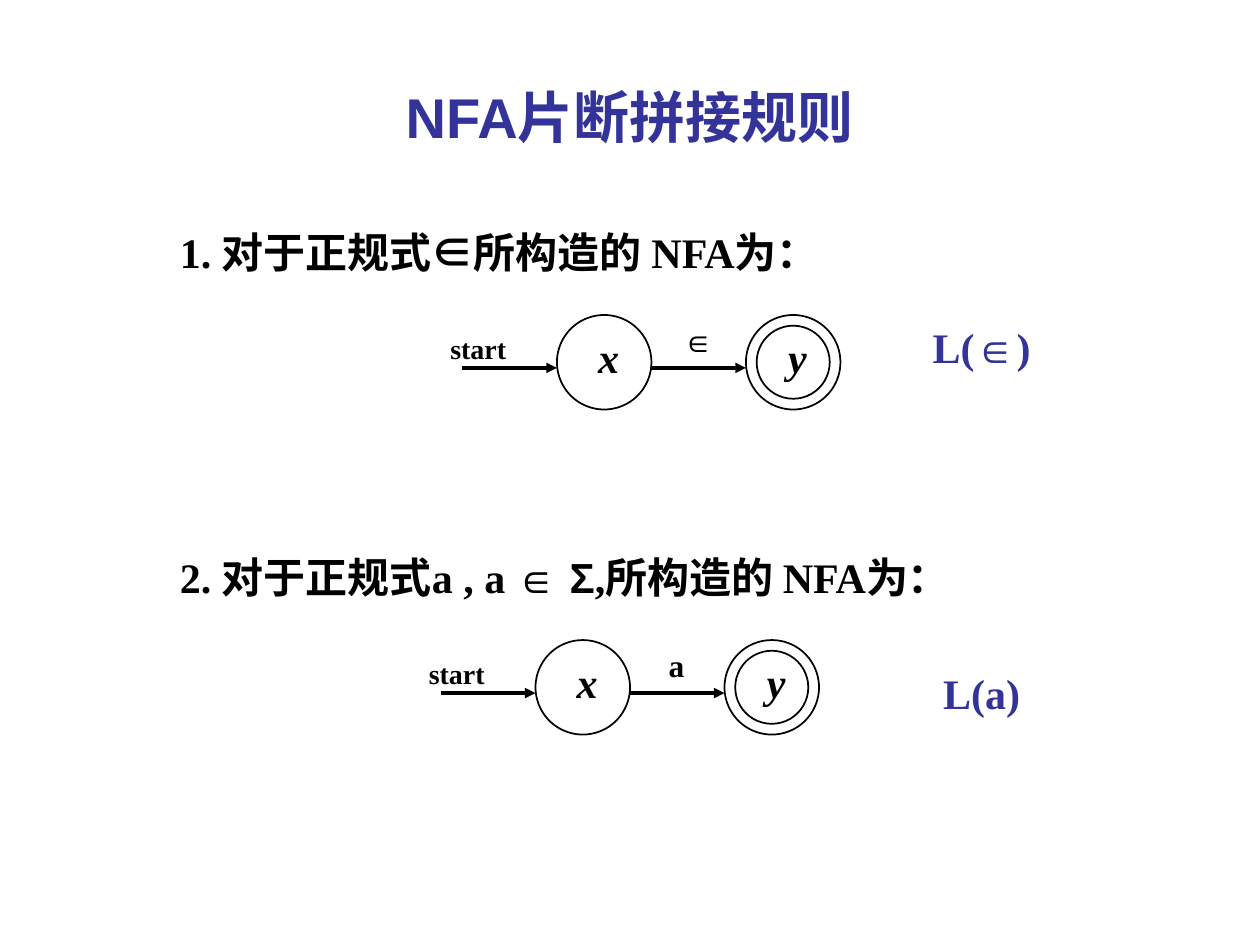
from lxml import etree
from pptx import Presentation
from pptx.dml.color import RGBColor
from pptx.enum.shapes import MSO_CONNECTOR, MSO_SHAPE
from pptx.enum.text import MSO_ANCHOR, MSO_AUTO_SIZE, PP_ALIGN
from pptx.oxml.ns import qn
from pptx.util import Inches, Pt

LEFT, CENTER = PP_ALIGN.LEFT, PP_ALIGN.CENTER
MIDDLE = MSO_ANCHOR.MIDDLE
FIT_SHAPE = MSO_AUTO_SIZE.SHAPE_TO_FIT_TEXT
OVAL, STRAIGHT = MSO_SHAPE.OVAL, MSO_CONNECTOR.STRAIGHT
COLORS = {"ink": "000000", "accent": "333399"}
SERIF, SANS = "Times New Roman", "Arial"


def write(shape, *runs, size=24, color="ink", align=CENTER, italic=False):
    """Fill a shape with one bold paragraph made of (text, font name) runs."""
    shape.text_frame.word_wrap = True
    paragraph = shape.text_frame.paragraphs[0]
    paragraph.alignment = align
    paragraph.space_before = Pt(0)
    for text, font_name in runs:
        run = paragraph.add_run()
        run.text = text
        run.font.name = font_name
        run.font.size = Pt(size)
        run.font.bold = True
        run.font.italic = italic
        run.font.color.rgb = RGBColor.from_string(COLORS[color])


def add_text(shapes, left, top, width, height, *runs, **text_format):
    box = shapes.add_textbox(Inches(left), Inches(top), Inches(width), Inches(height))
    write(box, *runs, **text_format)
    box.text_frame.auto_size = FIT_SHAPE


presentation = Presentation()
presentation.slide_width = Inches(10)
presentation.slide_height = Inches(7.5)
slide = presentation.slides.add_slide(presentation.slide_layouts[5])

title = slide.shapes.title
title.left, title.top = Inches(0.5), Inches(0.3)
title.width, title.height = Inches(9), Inches(1.25)
title.text_frame.vertical_anchor = MIDDLE
write(title, ("NFA片断拼接规则", SANS), size=32, color="accent")

# heading runs, heading top, left of the start state, top of the states,
# symbol on the edge, language runs, language top
rules = [
    ([("1. 对于正规式", SERIF), ("∈", SANS), ("所构造的 NFA为：", SERIF)],
     1.75, 4.42, 2.5, ("∈", SANS),
     [("L(", SERIF), ("∈", SANS), (")", SERIF)], 2.5),
    ([("2. 对于正规式a , a ", SERIF), ("∈ Σ", SANS), (",所构造的 NFA为：", SERIF)],
     4.33, 4.25, 5.08, ("a", SERIF),
     [("L(a)", SERIF)], 5.25),
]
STATE, INNER, STEP = 0.75, 0.58, 1.5
RING = (STATE - INNER) / 2

for heading, heading_top, left, top, symbol, language, language_top in rules:
    add_text(slide.shapes, 1.33, heading_top, 8.33, 0.5, *heading, align=LEFT)
    automaton = slide.shapes.add_group_shape().shapes
    add_text(automaton, 7, language_top, 1.58, 0.5, *language, color="accent")

    circles = [(0, 0, STATE), (STEP, 0, STATE), (STEP + RING, RING, INNER)]
    for across, down, diameter in circles:
        circle = automaton.add_shape(OVAL, Inches(left + across), Inches(top + down),
                                     Inches(diameter), Inches(diameter))
        circle.shadow.inherit = False
        circle.fill.background()
        circle.line.color.rgb = RGBColor.from_string(COLORS["ink"])
        circle.line.width = Pt(1)

    arrow_y = Inches(top + 0.42)
    for tip in (left + STEP, left):
        arrow = automaton.add_connector(STRAIGHT, Inches(tip - STATE), arrow_y,
                                        Inches(tip), arrow_y)
        arrow.line.color.rgb = RGBColor.from_string(COLORS["ink"])
        arrow.line.width = Pt(2)
        etree.SubElement(arrow.line._get_or_add_ln(), qn("a:tailEnd"), type="triangle")
        etree.SubElement(arrow._element.spPr, qn("a:effectLst"))

    add_text(automaton, left + 0.83, top, 0.58, 0.4, symbol, size=18)
    add_text(automaton, left - 1, top + RING, 0.75, 0.37, ("start", SERIF), size=16)
    for index, name in enumerate("xy"):
        add_text(automaton, left + 0.16 + index * STEP, top + RING, 0.5, 0.5,
                 (name, SERIF), italic=True)

presentation.save("out.pptx")
